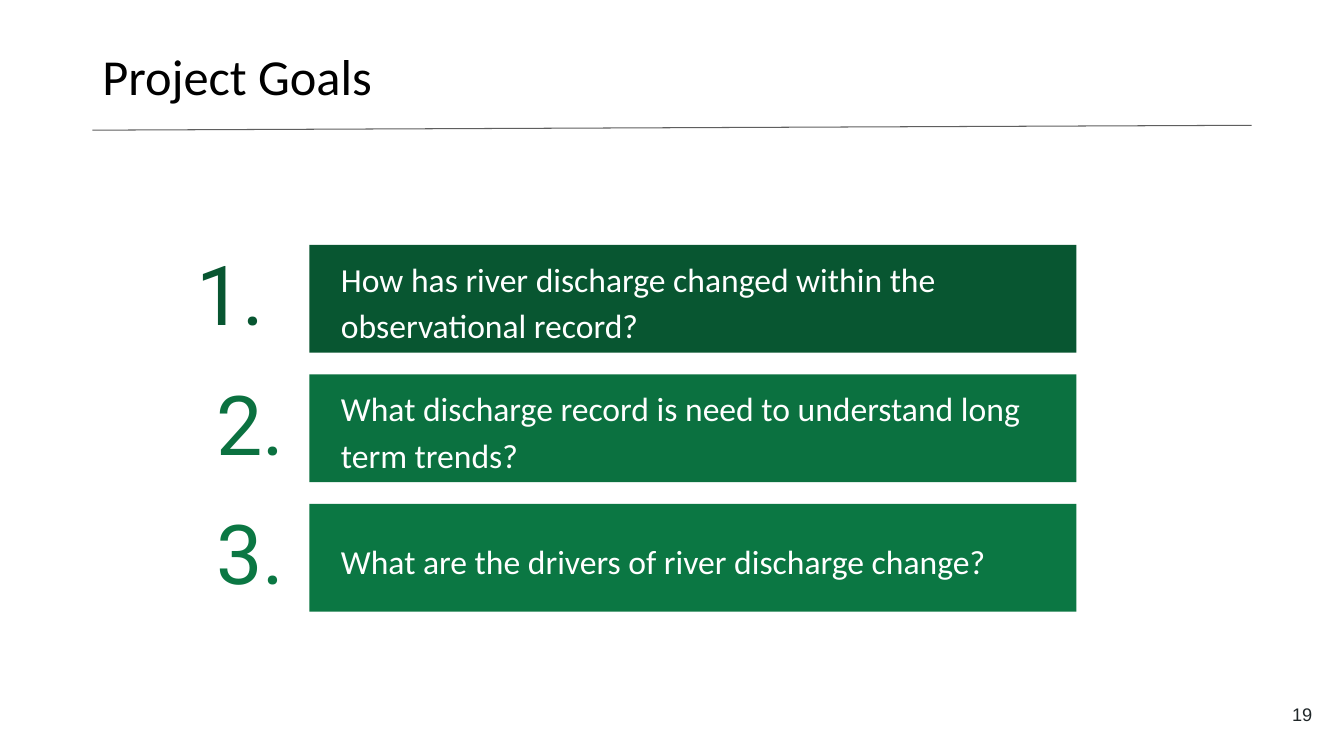
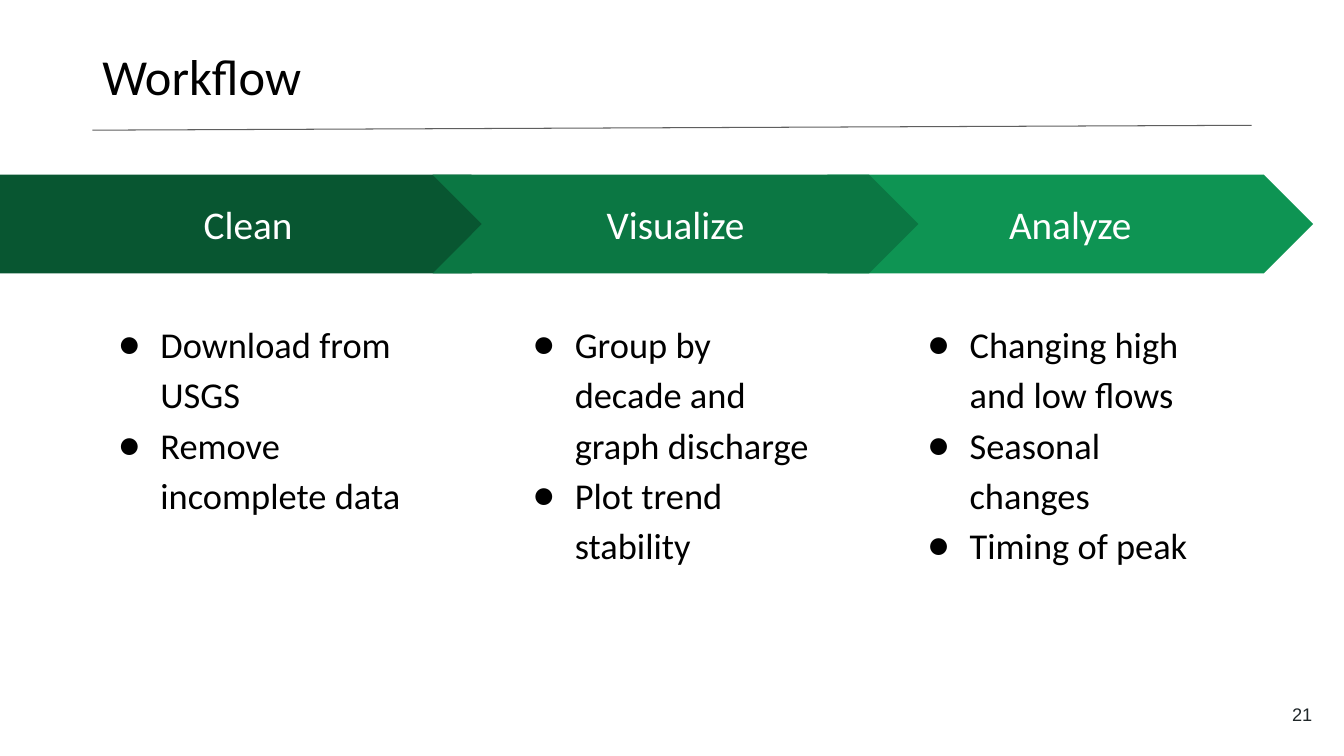
from lxml import etree
from pptx import Presentation
from pptx.dml.color import RGBColor
from pptx.enum.shapes import MSO_CONNECTOR as Connector, MSO_SHAPE as Shape
from pptx.enum.text import MSO_ANCHOR as Anchor, PP_ALIGN as Align
from pptx.oxml.ns import qn
from pptx.util import Pt

BLACK, WHITE, GRAY, DARK_GRAY = "000000", "FFFFFF", "5F5F5F", "202729"
FOREST, EMERALD, JADE, MINT = "085631", "0B7140", "0B7743", "0E9453"


def color(value):
    return RGBColor.from_string(value)


def set_values(target, values):
    for name, value in values.items():
        setattr(target, name, value)


class Deck:
    """Holds the shared style and the slide being filled."""

    styles = {
        "title": {"name": "Calibri", "size": Pt(36)},
        "number": {"name": "Roboto", "size": Pt(59)},
        "question": {"name": "Calibri", "size": Pt(24)},
        "step": {"name": "Calibri", "size": Pt(28)},
        "bullet": {"name": "Calibri", "size": Pt(26)},
        "page": {"name": "Arial", "size": Pt(13)},
    }

    def __init__(self):
        self.presentation = Presentation()
        set_values(self.presentation, {"slide_width": Pt(960), "slide_height": Pt(540)})
        self.slide = None

    def add_slide(self, title, page):
        layout = self.presentation.slide_layouts[6]
        self.slide = self.presentation.slides.add_slide(layout)
        self.text((66, 29, 828, 68), [title], "title", BLACK, insets=(7.2, 3.6, 7.2, 3.6),
                  anchor=Anchor.TOP)
        self.rule((66, 93), (894, 89.5))
        self.text((889, 489.5, 58, 41), [page], "page", DARK_GRAY, align=Align.RIGHT)

    def rule(self, start, end):
        ends = [Pt(length) for length in (*start, *end)]
        line = self.slide.shapes.add_connector(Connector.STRAIGHT, *ends)
        line.line.color.rgb = color(GRAY)
        line.line.width = Pt(0.75)
        etree.SubElement(line._element.spPr, qn("a:effectLst"))

    def text(self, box, lines, style, ink, **options):
        shape = self.slide.shapes.add_textbox(*[Pt(length) for length in box])
        self.fill_text(shape, lines, style, ink, **options)

    def block(self, kind, box, fill, label, style, **options):
        shape = self.slide.shapes.add_shape(kind, *[Pt(length) for length in box])
        shape.shadow.inherit = False
        shape.fill.solid()
        shape.fill.fore_color.rgb = color(fill)
        shape.line.fill.background()
        self.fill_text(shape, [label], style, WHITE, **options)

    def fill_text(self, shape, lines, style, ink, align=Align.LEFT, anchor=Anchor.MIDDLE,
                  spacing=1.0, insets=(9.6, 9.6, 9.6, 9.6), bullets=False):
        frame = shape.text_frame
        set_values(frame, {"word_wrap": True, "vertical_anchor": anchor})
        sides = ("margin_left", "margin_top", "margin_right", "margin_bottom")
        set_values(frame, {side: Pt(inset) for side, inset in zip(sides, insets)})
        for index, line in enumerate(lines):
            paragraph = frame.paragraphs[0] if index == 0 else frame.add_paragraph()
            if bullets:
                self.add_bullet(paragraph)
            set_values(paragraph, {"alignment": align, "line_spacing": spacing})
            run = paragraph.add_run()
            run.text = line
            set_values(run.font, self.styles[style])
            run.font.color.rgb = color(ink)

    def add_bullet(self, paragraph):
        properties = paragraph._p.get_or_add_pPr()
        properties.set("marL", str(Pt(36)))
        properties.set("indent", str(Pt(-30)))
        bullet_color = etree.SubElement(properties, qn("a:buClr"))
        etree.SubElement(bullet_color, qn("a:srgbClr"), val=BLACK)
        etree.SubElement(properties, qn("a:buFont"), typeface="Calibri")
        etree.SubElement(properties, qn("a:buChar"), char="●")

    # Numbered question: large numeral beside a coloured band
    def goal(self, top, number, question, fill):
        self.text((3, top + 5.5, 210, 66), [number], "number", fill, align=Align.RIGHT,
                  spacing=0.9, insets=(9.6, 4.8, 9.6, 4.8))
        self.block(Shape.RECTANGLE, (221, top, 548, 77), fill, question, "question",
                   spacing=1.15, insets=(22.6, 4.8, 9.6, 4.8))

    # Workflow step: arrow with a bullet list below
    def step(self, kind, left, width, list_left, label, fill, items):
        self.block(kind, (left, 124.8, width, 70.5), fill, label, "step", align=Align.CENTER)
        self.text((list_left, 216, 234.7, 274), items, "bullet", BLACK, anchor=Anchor.TOP,
                  spacing=1.15, bullets=True)


def main():
    deck = Deck()

    # Project goals
    deck.add_slide("Project Goals", "19")
    goals = [
        ("1. ", "How has river discharge changed within the observational record?", FOREST),
        ("2.", "What discharge record is need to understand long term trends?", EMERALD),
        ("3.", "What are the drivers of river discharge change?", JADE),
    ]
    for index, goal in enumerate(goals):
        deck.goal(175 + 92.5 * index, *goal)

    # Workflow, back to front so that each arrow overlaps correctly
    deck.add_slide("Workflow", "21")
    steps = [
        (Shape.CHEVRON, 591, 347, 647, "Analyze", MINT,
         ["Changing high and low flows", "Seasonal changes", "Timing of peak"]),
        (Shape.PENTAGON, 0, 372, 69, "Clean", FOREST,
         ["Download from USGS", "Remove incomplete data"]),
        (Shape.CHEVRON, 309, 347, 365, "Visualize", JADE,
         ["Group by decade and graph discharge", "Plot trend stability"]),
    ]
    for step in steps:
        deck.step(*step)

    deck.presentation.save("out.pptx")


if __name__ == "__main__":
    main()
